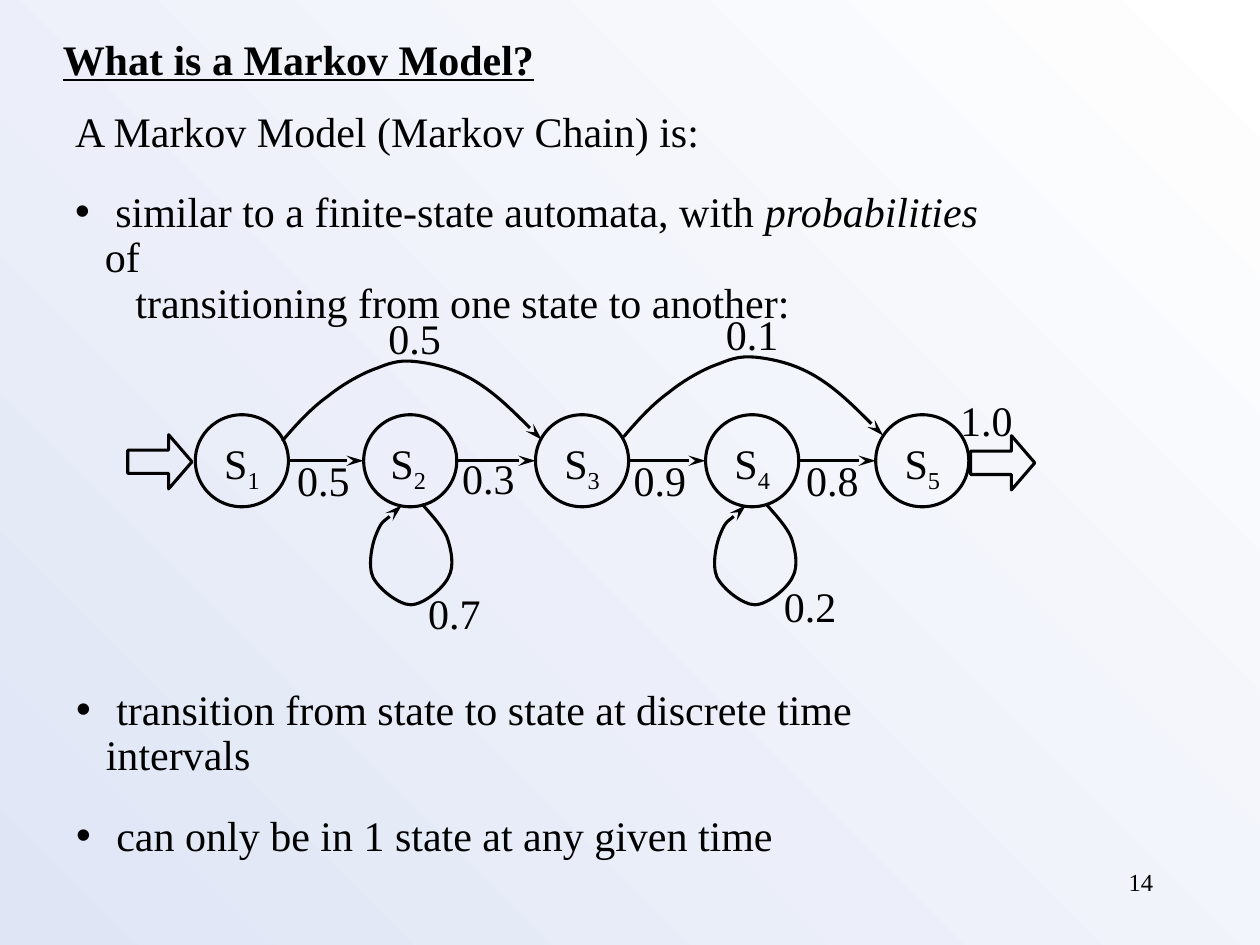
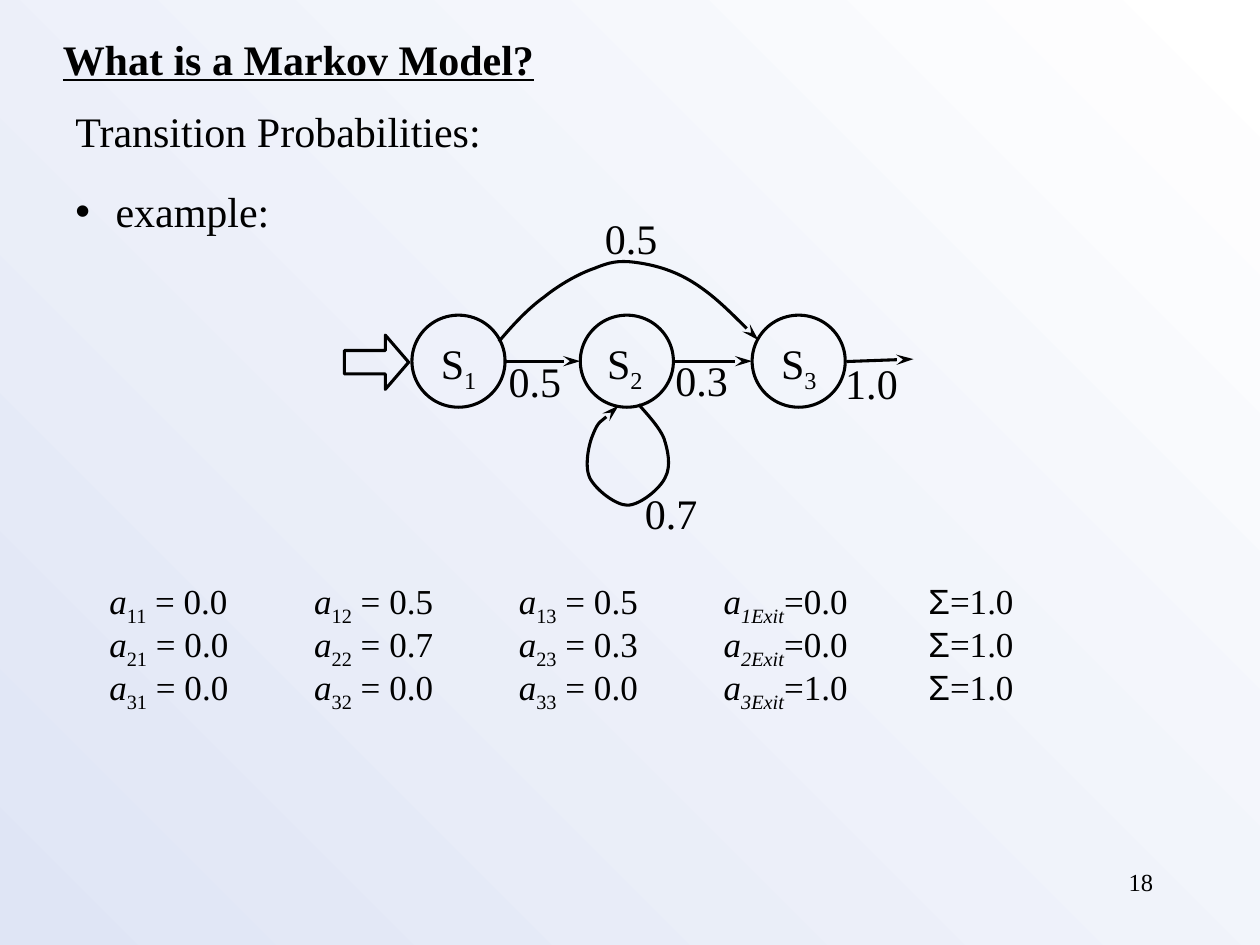
from lxml import etree
from pptx import Presentation
from pptx.dml.color import RGBColor
from pptx.enum import shapes, text
from pptx.oxml.ns import qn
from pptx.util import Pt

COLORS = {"ink": "000000", "light": "FFFFFF", "tint": "DFE5F5"}
INK = RGBColor.from_string(COLORS["ink"])
FONT = "Times New Roman"
LINE_W = 1.75
TITLE = "What is a Markov Model?"

# Diagram measures, in the frame of the first slide
STATE_LEFTS = [111.6, 207.8, 306, 403.2, 500.4]
STATE_NAME_LEFTS = [121, 216, 315.4, 412.6, 509.8]
STATE_Y, STATE_W, STATE_H = 237, 53.2, 52.6
MID_Y = STATE_Y + STATE_H / 2
BLOCK_W, BLOCK_H = 36.7, 31
LABEL_W, LABEL_H = 46, 33

# Bezier points relative to the start of each curve
ARC = [(8, -9.4), (16.5, -18.7), (26, -25.5), (34.5, -32.4), (46, -38.9),
       (54.7, -41.8), (63.4, -45.4), (68.4, -46.4), (77.8, -45.2),
       (87.8, -43.9), (99.4, -41), (110.9, -33.8), (122.4, -26.6),
       (135.4, -13.7), (148.3, -0.7)]
LOOP = [(2.2, 2.9), (11.5, 12.2), (14.4, 19.4), (16.6, 25.9), (18.7, 35.3),
        (15.1, 41.8), (12.2, 48.2), (0.7, 57.6), (-6.5, 57.6), (-13, 57.6),
        (-24.5, 49), (-28.1, 41.8), (-31, 35.3), (-28.8, 23), (-25.9, 16.6),
        (-23, 9.4), (-14.4, 4.3), (-11.5, 0.7)]

# (probability, left, top)
SHARED_LABELS = [("0.5", 214.8, 178.2), ("0.7", 237.6, 335.5)]

# A run is (text, style): b bold, u underlined, i italic, s subscript, A Arial
matrix = []
for row, values in enumerate([("0.0", "0.5", "0.5", "0.0"),
                              ("0.0", "0.7", "0.3", "0.0"),
                              ("0.0", "0.0", "0.0", "1.0")], 1):
    runs = []
    for col, value in enumerate(values[:3], 1):
        runs += [("a", "i"), (f"{row}{col}", "s"), (f" = {value}\t", "")]
    runs += [("a", "i"), (f"{row}Exit", "is"), (f"={values[3]}\t", ""),
             ("Σ", "A"), ("=1.0", "")]
    matrix.append({"runs": runs, "tabs": [117, 234, 351, 468]})

SLIDES = [
    {"number": "14", "dx": 0, "dy": 0, "states": 5,
     "arcs": [(161.3, 252), (356.4, 249.6)],
     "loops": [(241.2, 288), (437.8, 288)],
     "labels": SHARED_LABELS + [
         ("0.5", 162.7, 259.2), ("0.3", 257, 258.5), ("0.1", 407.7, 175.9),
         ("0.9", 355, 259.2), ("0.8", 453.6, 259.2),
         ("0.2", 440.8, 331.2), ("1.0", 541.6, 225.4)],
     "blocks": [(73, 248.4), (554.6, 249)],
     "exit": None,
     "texts": [
         ((35.8, 59.8, 550, 132), 24, [
             {"runs": [("A Markov Model (Markov Chain) is:", "")]},
             {"runs": [(" similar to a finite-state automata, with ", ""),
                       ("probabilities", "i"), (" of", "")],
              "bullet": True},
             {"runs": [("transitioning from one state to another:", "")],
              "indent": 34.5}]),
         ((36.4, 390.2, 538, 110), 24, [
             {"runs": [(" transition from state to state at discrete time"
                        " intervals", "")], "bullet": True, "gap": 0},
             {"runs": [(" can only be in 1 state at any given time", "")],
              "bullet": True}])]},
    {"number": "18", "dx": 123.8, "dy": -56.9, "states": 3,
     "arcs": [(161.3, 252)],
     "loops": [(241.2, 288)],
     "labels": SHARED_LABELS + [("0.5", 159.7, 260), ("0.3", 255, 259.2),
                                ("1.0", 352.1, 260.8)],
     "blocks": [(73, 248.4)],
     "exit": (360, 263.5, 398.2, 262.1),
     "texts": [
         ((36, 59.8, 576, 79), 24, [
             {"runs": [("Transition Probabilities:", "")]},
             {"runs": [(" example:", "")], "bullet": True}]),
         ((55.4, 328, 639, 82), 20, matrix)]},
]


def add_text(s, box, paragraphs, size=24, wrap=False, spacing=0.9,
             align=text.PP_ALIGN.LEFT):
    tf = s.shapes.add_textbox(*map(Pt, box)).text_frame
    tf.word_wrap = wrap
    if not wrap:
        tf.auto_size = text.MSO_AUTO_SIZE.SHAPE_TO_FIT_TEXT
    for i, item in enumerate(paragraphs):
        p = tf.paragraphs[0] if i == 0 else tf.add_paragraph()
        p.alignment = align
        p.line_spacing = spacing
        pPr = p._p.get_or_add_pPr()
        if "indent" in item:
            pPr.set("marL", str(Pt(item["indent"])))
        if "bullet" in item:
            p.space_before = Pt(item.get("gap", 20))
            pPr.set("marL", str(Pt(17)))
            pPr.set("indent", str(Pt(-17)))
            etree.SubElement(pPr, qn("a:buFont")).set("typeface", "Arial")
            etree.SubElement(pPr, qn("a:buChar")).set("char", "•")
        if "tabs" in item:
            stops = etree.SubElement(pPr, qn("a:tabLst"))
            for pos in item["tabs"]:
                tab = etree.SubElement(stops, qn("a:tab"))
                tab.set("pos", str(Pt(pos)))
                tab.set("algn", "l")
        for words, style in item["runs"]:
            r = p.add_run()
            r.text = words
            r.font.name = "Arial" if "A" in style else FONT
            r.font.size = Pt(size)
            r.font.color.rgb = INK
            r.font.bold = "b" in style
            r.font.italic = "i" in style
            r.font.underline = "u" in style
            if "s" in style:
                r._r.get_or_add_rPr().set("baseline", "-25000")


def outline(sp, arrow=False):
    """Give a shape or connector the ink line, no fill and no shadow."""
    sp.line.color.rgb = INK
    sp.line.width = Pt(LINE_W)
    if arrow:
        tail = etree.SubElement(sp.line._get_or_add_ln(), qn("a:tailEnd"))
        tail.set("type", "stealth")
        tail.set("w", "med")
        tail.set("len", "lg")
    if hasattr(sp, "fill"):
        sp.fill.background()
        sp.shadow.inherit = False
    else:
        etree.SubElement(sp._element.spPr, qn("a:effectLst"))


prs = Presentation()
prs.slide_width, prs.slide_height = Pt(720), Pt(540)

fill = prs.slide_master.background.fill
fill.gradient()
fill.gradient_angle = 225
for stop, name in zip(fill.gradient_stops, ("light", "tint")):
    stop.color.rgb = RGBColor.from_string(COLORS[name])

for page in SLIDES:
    s = prs.slides.add_slide(prs.slide_layouts[6])
    dx, dy = page["dx"], page["dy"]

    add_text(s, (28.8, 15.4, 283.7, 36), [{"runs": [(TITLE, "bu")]}], spacing=1.0)
    for box, size, paragraphs in page["texts"]:
        add_text(s, box, paragraphs, size, wrap=True)

    # States and the arrows between neighbours
    lines = [page["exit"]] if page["exit"] else []
    for i in range(page["states"]):
        left = STATE_LEFTS[i]
        sp = s.shapes.add_shape(shapes.MSO_SHAPE.OVAL, Pt(left + dx),
                                Pt(STATE_Y + dy), Pt(STATE_W), Pt(STATE_H))
        outline(sp)
        add_text(s, (STATE_NAME_LEFTS[i] + dx, STATE_Y + 9.6 + dy, 34.6, 36.7),
                 [{"runs": [("S", ""), (str(i + 1), "s")]}])
        if i + 1 < page["states"]:
            lines.append((left + STATE_W, MID_Y, STATE_LEFTS[i + 1], MID_Y))
    for x1, y1, x2, y2 in lines:
        connector = s.shapes.add_connector(
            shapes.MSO_CONNECTOR.STRAIGHT, Pt(x1 + dx), Pt(y1 + dy),
            Pt(x2 + dx), Pt(y2 + dy))
        outline(connector, arrow=True)

    # Skipping arcs and self loops: every three points make one Bezier segment
    for starts, curve in ((page["arcs"], ARC), (page["loops"], LOOP)):
        for x, y in starts:
            x, y = x + dx, y + dy
            builder = s.shapes.build_freeform(Pt(x), Pt(y))
            builder.add_line_segments(
                [(Pt(x + px), Pt(y + py)) for px, py in curve], close=False)
            sp = builder.convert_to_shape()
            segments = sp._element.xpath(".//a:lnTo")
            for first in range(0, len(segments), 3):
                bezier = etree.Element(qn("a:cubicBezTo"))
                segments[first].addprevious(bezier)
                for segment in segments[first:first + 3]:
                    bezier.append(segment[0])
                    segment.getparent().remove(segment)
            outline(sp, arrow=True)

    # Entry and exit block arrows
    for x, y in page["blocks"]:
        sp = s.shapes.add_shape(shapes.MSO_SHAPE.RIGHT_ARROW, Pt(x + dx),
                                Pt(y + dy), Pt(BLOCK_W), Pt(BLOCK_H))
        sp.adjustments[0] = sp.adjustments[1] = 0.43
        outline(sp)

    for probability, x, y in page["labels"]:
        add_text(s, (x + dx, y + dy, LABEL_W, LABEL_H),
                 [{"runs": [(probability, "")]}])

    add_text(s, (516.2, 491.8, 149.8, 36), [{"runs": [(page["number"], "")]}],
             size=14, wrap=True, spacing=1.0, align=text.PP_ALIGN.RIGHT)

prs.save("out.pptx")
